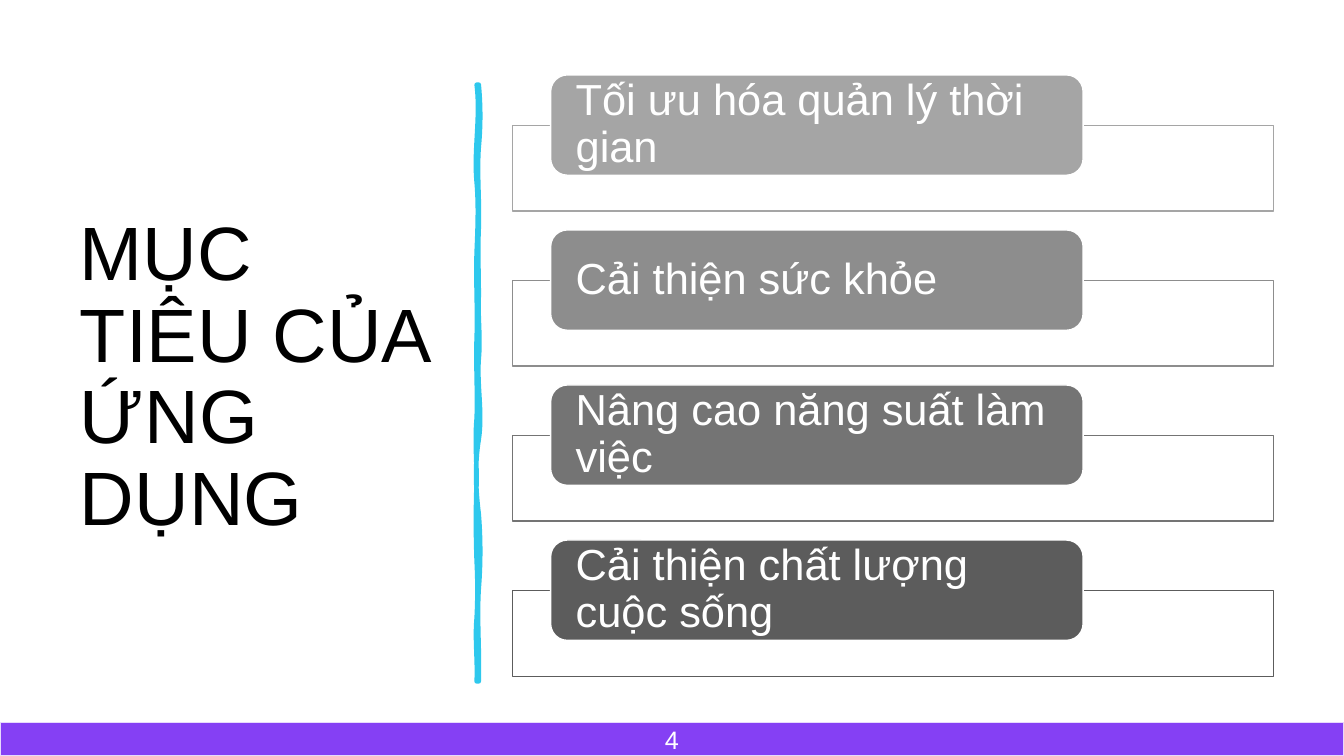
from lxml import etree
from pptx import Presentation
from pptx.dml.color import RGBColor
from pptx.enum import shapes, text
from pptx.oxml import ns
from pptx.util import Pt

WHITE = RGBColor(0xFF, 0xFF, 0xFF)
BLACK = RGBColor(0, 0, 0)
CYAN = RGBColor(0x2E, 0xC8, 0xED)
PURPLE = RGBColor(0x85, 0x40, 0xF4)
LILAC = RGBColor(0xE7, 0xD9, 0xFD)
FONT = "Arial"
RECT = shapes.MSO_SHAPE.RECTANGLE
ROUND = shapes.MSO_SHAPE.ROUNDED_RECTANGLE
LEFT = text.PP_ALIGN.LEFT

GOALS = [
    ("Tối ưu hóa quản lý thời gian", RGBColor(0xA5, 0xA5, 0xA5)),
    ("Cải thiện sức khỏe", RGBColor(0x8D, 0x8D, 0x8D)),
    ("Nâng cao năng suất làm việc", RGBColor(0x74, 0x74, 0x74)),
    ("Cải thiện chất lượng cuộc sống", RGBColor(0x5C, 0x5C, 0x5C)),
]
RIGHT_EDGE = (
    [0, 44.6, 102.2, 151.2, 195.8, 253.4, 306.7, 360, 426.2],
    [(1.4, 1.4), (-1.4, 0.7), (-0.7, 0), (-0.7, 1.4),
     (-1.4, 2.9), (-2.9, -2.2), (1.4, 1.4), (-1.4, 0.7)],
)
LEFT_EDGE = (
    [426.2, 380.9, 340.6, 283, 238.3, 180.7, 119.5, 69.8, 0],
    [(0.7, -1.4), (0.7, 0.7), (-0.7, -0.7), (0, -1.4),
     (0.7, -0.7), (0.7, -0.7), (0.7, 1.4), (-2.2, 2.9)],
)


def paint(shape, fill, line, width=1):
    shape.shadow.inherit = False
    shape.fill.solid()
    shape.fill.fore_color.rgb = fill
    shape.line.color.rgb = line
    shape.line.width = Pt(width)


def block(slide, kind, box, fill, line):
    shape = slide.shapes.add_shape(kind, *map(Pt, box))
    paint(shape, fill, line)
    return shape


def write(shape, words, size, color, align=LEFT, gap=0.9, pad=(7.2, 3.6)):
    frame = shape.text_frame
    frame.text = words
    frame.word_wrap = True
    frame.vertical_anchor = text.MSO_ANCHOR.MIDDLE
    frame.margin_left = frame.margin_right = Pt(pad[0])
    frame.margin_top = frame.margin_bottom = Pt(pad[1])
    para = frame.paragraphs[0]
    para.alignment = align
    para.line_spacing = gap
    font = para.runs[0].font
    font.name, font.size, font.color.rgb = FONT, Pt(size), color


def title(slide, box):
    area = slide.shapes.add_textbox(*map(Pt, box))
    write(area, "MỤC TIÊU CỦA ỨNG DỤNG", 54, BLACK)


def wave(left, top, edge):
    knots, bends = edge
    for start, end, (near, far) in zip(knots, knots[1:], bends):
        third = (end - start) / 3
        yield Pt(left + near), Pt(top + start + third)
        yield Pt(left + far), Pt(top + end - third)
        yield Pt(left), Pt(top + end)


def curve(shape):
    lines = list(shape._element.iter(ns.qn("a:lnTo")))
    for trio in zip(lines[::3], lines[1::3], lines[2::3]):
        bend = etree.Element(ns.qn("a:cubicBezTo"))
        trio[0].addprevious(bend)
        for line in trio:
            bend.append(line[0])
            line.getparent().remove(line)


def divider(slide, left, top, width):
    foot = (Pt(left), Pt(top + LEFT_EDGE[0][0]))
    pen = slide.shapes.build_freeform(Pt(left + width), Pt(top))
    pen.add_line_segments([
        *wave(left + width, top, RIGHT_EDGE),
        foot, foot, foot,
        *wave(left, top, LEFT_EDGE),
    ], close=True)
    shape = pen.convert_to_shape()
    curve(shape)
    paint(shape, CYAN, CYAN, 3.25)


def goal(slide, left, top, width, words, shade):
    frame = block(slide, RECT, (left, top + 36.1, width, 61.2), WHITE, shade)
    tint = frame.fill._xPr.find(".//" + ns.qn("a:srgbClr"))
    etree.SubElement(tint, ns.qn("a:alpha"), val="90000")
    label = block(slide, ROUND, (left + 27.2, top, width * 0.7, 71.7), shade, WHITE)
    write(label, words, 31, WHITE, pad=(14.4, 0))


def goals(slide, left, top, width, pitch):
    for row, (words, shade) in enumerate(GOALS):
        goal(slide, left, top + row * pitch, width, words, shade)


def footer(slide, box):
    bar = block(slide, RECT, box, PURPLE, LILAC)
    write(bar, "4", 18, WHITE, text.PP_ALIGN.CENTER, 1)


def main():
    deck = Presentation()
    deck.slide_width, deck.slide_height = Pt(960), Pt(540)
    slide = deck.slides.add_slide(deck.slide_layouts[6])
    title(slide, (50, 50.4, 269.3, 440))
    divider(slide, 340.5, 60.5, 1.5)
    goals(slide, 366.1, 53.5, 543.4, 110.75)
    footer(slide, (0, 516.2, 960, 23.8))
    deck.save("out.pptx")


if __name__ == "__main__":
    main()
